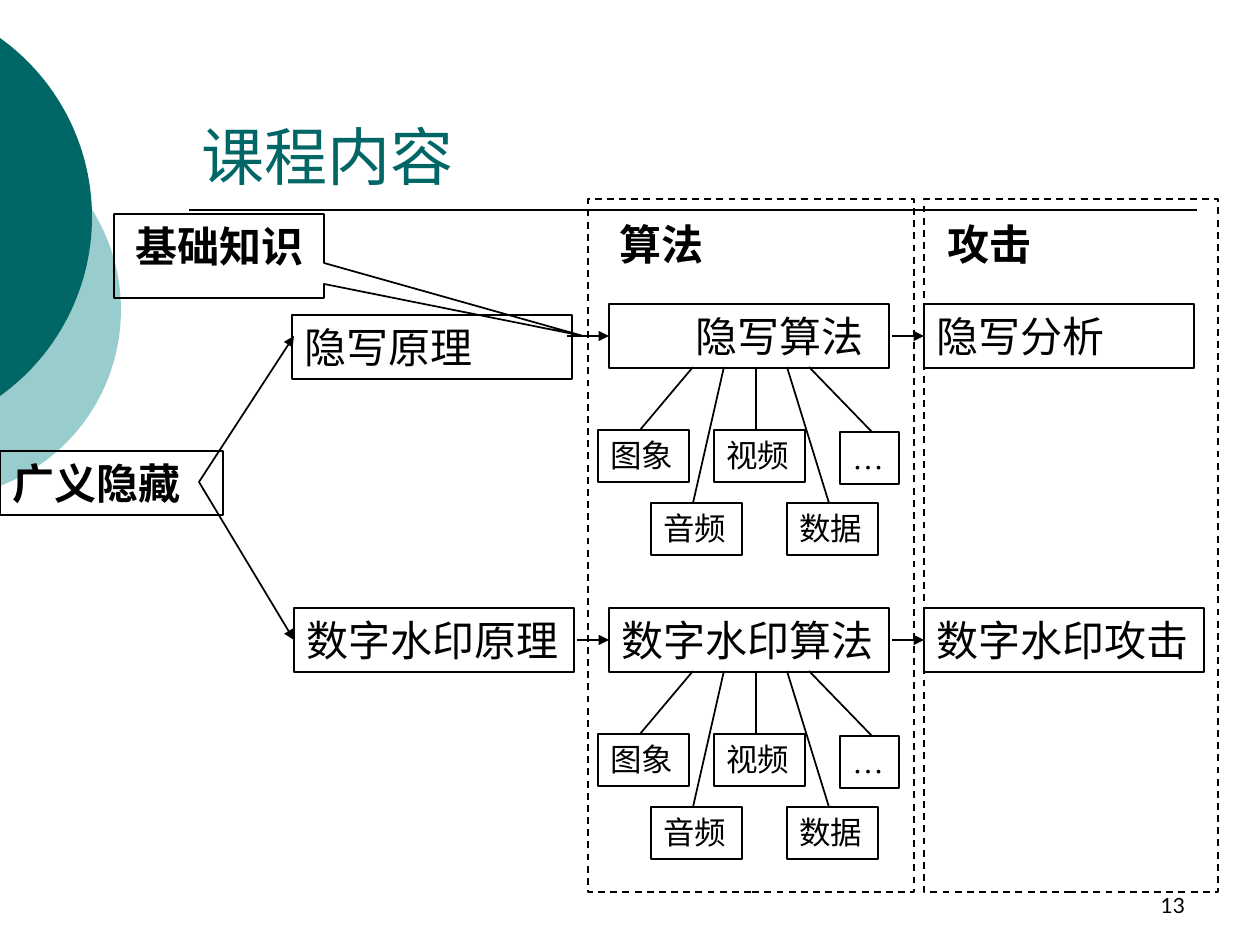
import math
from dataclasses import dataclass
from typing import Optional

from lxml import etree
from pptx import Presentation
from pptx.dml.color import RGBColor
from pptx.enum.dml import MSO_LINE
from pptx.enum.shapes import MSO_CONNECTOR, MSO_SHAPE
from pptx.enum.text import MSO_ANCHOR, PP_ALIGN
from pptx.oxml.ns import qn
from pptx.util import Emu, Pt

STRAIGHT = MSO_CONNECTOR.STRAIGHT
RECT, CALLOUT = MSO_SHAPE.RECTANGLE, MSO_SHAPE.RECTANGULAR_CALLOUT
TOP, BOTTOM = MSO_ANCHOR.TOP, MSO_ANCHOR.BOTTOM
LEFT, CENTER, RIGHT = PP_ALIGN.LEFT, PP_ALIGN.CENTER, PP_ALIGN.RIGHT
DASH = MSO_LINE.DASH
LEFT_SIDE = 1
EMU_PER_PX = 914400 / 126


@dataclass(frozen=True)
class Theme:
    ink: RGBColor = RGBColor(0x00, 0x00, 0x00)
    teal: RGBColor = RGBColor(0x00, 0x66, 0x66)
    mist: RGBColor = RGBColor(0x99, 0xCC, 0xCC)
    body_font: str = "Times New Roman"
    title_font: str = "Arial"
    number_font: str = "Lato"
    title: int = 36
    body: int = 24
    leaf: int = 18
    number: int = 12
    line: int = 1


THEME = Theme()


@dataclass(frozen=True)
class Box:
    text: str
    x: int
    y: int
    w: int
    h: int = 64
    size: int = THEME.body
    bold: bool = False
    align: PP_ALIGN = LEFT
    anchor: MSO_ANCHOR = TOP
    font: str = THEME.body_font
    color: RGBColor = THEME.ink
    right_inset: int = 12


@dataclass(frozen=True)
class Leaf:
    text: str
    x: int
    drop: int
    w: int
    from_x: int
    to_x: int


@dataclass(frozen=True)
class Arc:
    depth: int
    mid_y: int
    half: int
    color: RGBColor


ROWS = (304, 608)
LEAF_H = 52
FAN_DROP = 63
ARCS = (Arc(121, 310, 176, THEME.mist), Arc(92, 217, 179, THEME.teal))
PRINCIPLES = (Box("隐写原理", 292, 315, 280), Box("数字水印原理", 294, ROWS[1], 280))
ALGORITHMS = (
    Box("隐写算法", 609, ROWS[0], 280, align=RIGHT, right_inset=25),
    Box("数字水印算法", 609, ROWS[1], 280),
)
ATTACKS = (Box("隐写分析", 924, ROWS[0], 270), Box("数字水印攻击", 924, ROWS[1], 280))
LEAVES = (
    Leaf("图象", 598, 126, 91, 693, 640),
    Leaf("音频", 651, 199, 91, 724, 693),
    Leaf("视频", 714, 126, 91, 756, 756),
    Leaf("数据", 787, 199, 91, 787, 829),
    Leaf("…", 840, 128, 59, 809, 872),
)
ARROW_STARTS = (567, 577)
ATTACK_ARROW_X = 892
FORK = (199, 482)
FRAMES = (Box("", 588, 199, 326, 693), Box("", 924, 199, 294, 693))
HEADINGS = (
    Box("算法", 607, 212, 110, bold=True),
    Box("攻击", 935, 212, 110, bold=True),
)
TITLE = Box("课程内容", 189, 42, 1008, 157, size=THEME.title, anchor=BOTTOM,
            font=THEME.title_font, color=THEME.teal)
NUMBER = Box("13", 903, 861, 294, 63, size=THEME.number, align=RIGHT,
             anchor=BOTTOM, font=THEME.number_font)
ROOT = Box("广义隐藏", 0, 451, 223, bold=True)
BASICS = Box("基础知识", 114, 214, 210, 84, bold=True, align=CENTER)


def px(n: float) -> Emu:
    return Emu(round(n * EMU_PER_PX))


def write(sp, box: Box) -> None:
    tf = sp.text_frame
    tf.word_wrap = True
    tf.vertical_anchor = box.anchor
    tf.margin_right = px(box.right_inset)
    p = tf.paragraphs[0]
    p.alignment = box.align
    r = p.add_run()
    r.text = box.text
    r.font.name = box.font
    r.font.size = Pt(box.size)
    r.font.bold = box.bold
    r.font.color.rgb = box.color


def add_text(slide, box: Box) -> None:
    write(slide.shapes.add_textbox(px(box.x), px(box.y), px(box.w), px(box.h)), box)


def add_box(slide, box: Box, kind: MSO_SHAPE = RECT, dash: Optional[MSO_LINE] = None):
    sp = slide.shapes.add_shape(kind, px(box.x), px(box.y), px(box.w), px(box.h))
    sp.shadow.inherit = False
    sp.fill.background()
    sp.line.color.rgb = THEME.ink
    sp.line.width = Pt(THEME.line)
    if dash is not None:
        sp.line.dash_style = dash
    if box.text:
        write(sp, box)
    return sp


def add_line(slide, x1: int, y1: int, x2: int, y2: int, arrow: bool = False, target=None) -> None:
    cn = slide.shapes.add_connector(STRAIGHT, px(x1), px(y1), px(x2), px(y2))
    cn.line.color.rgb = THEME.ink
    cn.line.width = Pt(THEME.line)
    if arrow:
        etree.SubElement(cn.line._get_or_add_ln(), qn("a:tailEnd"), type="triangle")
    etree.SubElement(cn._element.spPr, qn("a:effectLst"))
    if target is not None:
        cn.end_connect(target, LEFT_SIDE)


def add_arc(slide, arc: Arc, steps: int = 60) -> None:
    radius = (arc.half ** 2 + arc.depth ** 2) / (2 * arc.depth)
    sweep = math.asin(arc.half / radius)
    angles = [sweep * (2 * i / steps - 1) for i in range(steps + 1)]
    points = [
        (px(arc.depth - radius + radius * math.cos(a)), px(arc.mid_y + radius * math.sin(a)))
        for a in angles
    ]
    fb = slide.shapes.build_freeform(*points[0])
    fb.add_line_segments(points[1:], close=True)
    sp = fb.convert_to_shape()
    sp.shadow.inherit = False
    sp.fill.solid()
    sp.fill.fore_color.rgb = arc.color
    sp.line.fill.background()


def add_fan(slide, row: int) -> None:
    for leaf in LEAVES:
        y = row + leaf.drop
        add_box(slide, Box(leaf.text, leaf.x, y, leaf.w, LEAF_H, size=THEME.leaf))
        add_line(slide, leaf.from_x, row + FAN_DROP, leaf.to_x, y)


def main() -> None:
    prs = Presentation()
    prs.slide_width, prs.slide_height = px(1260), px(945)
    slide = prs.slides.add_slide(prs.slide_layouts[6])
    for arc in ARCS:
        add_arc(slide, arc)
    add_line(slide, 189, 210, 1197, 210)
    add_text(slide, NUMBER)
    add_text(slide, TITLE)
    principles = [add_box(slide, box) for box in PRINCIPLES]
    fork_targets = (None, principles[1])
    for row, start, algorithm, attack, target in zip(
        ROWS, ARROW_STARTS, ALGORITHMS, ATTACKS, fork_targets
    ):
        mid = row + algorithm.h // 2
        sp = add_box(slide, algorithm)
        add_line(slide, start, mid, algorithm.x, mid, True, sp)
        sp = add_box(slide, attack)
        add_line(slide, ATTACK_ARROW_X, mid, attack.x, mid, True, sp)
        add_fan(slide, row)
        add_line(slide, *FORK, 294, mid, True, target)
    for frame, heading in zip(FRAMES, HEADINGS):
        add_box(slide, frame, dash=DASH)
        add_text(slide, heading)
    add_box(slide, ROOT)
    sp = add_box(slide, BASICS, CALLOUT)
    sp.adjustments[0], sp.adjustments[1] = 1.73, 0.95
    prs.save("out.pptx")


if __name__ == "__main__":
    main()
